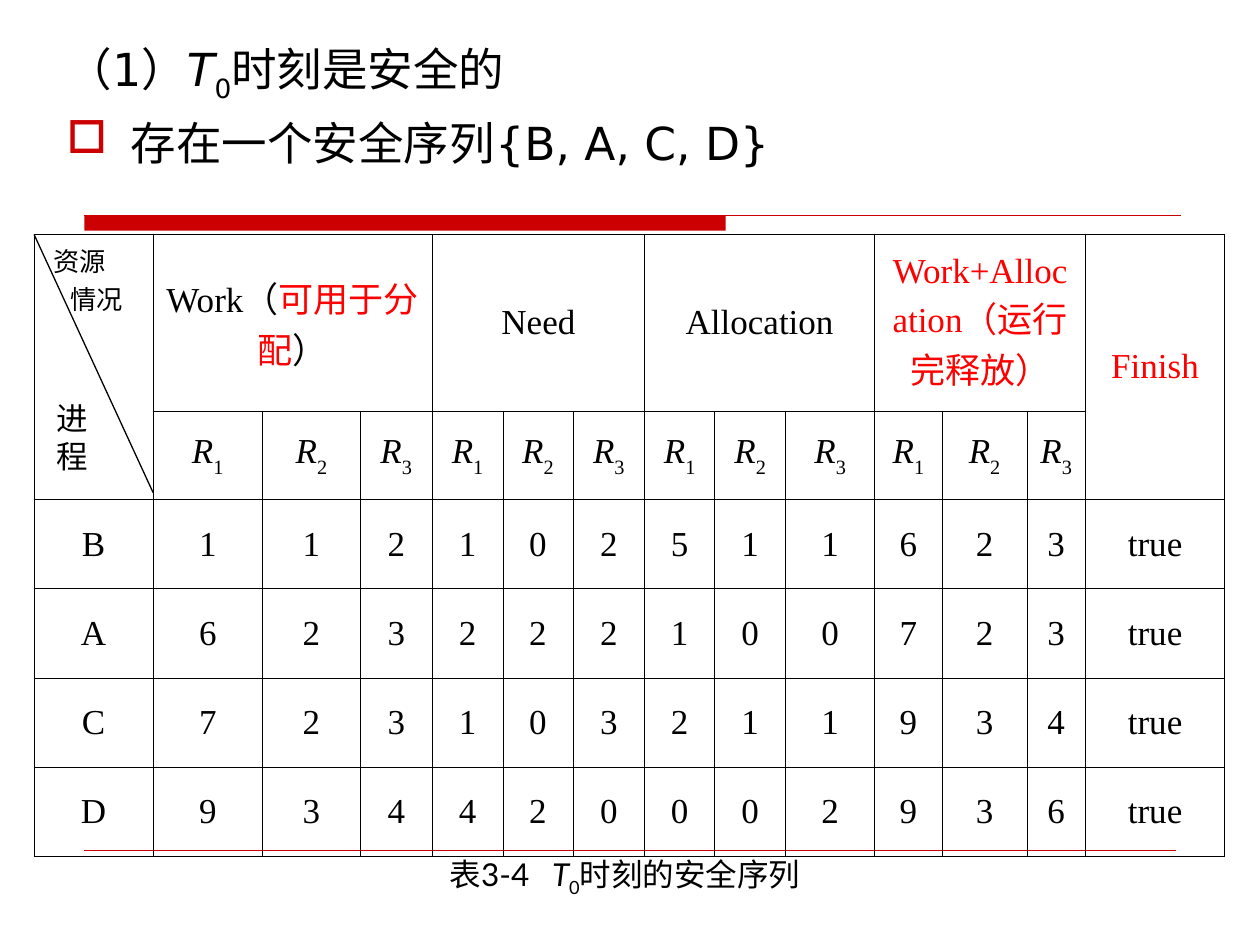
from dataclasses import dataclass
from typing import Optional

from lxml.etree import SubElement
from pptx import Presentation
from pptx.dml.color import RGBColor
from pptx.enum.shapes import MSO_CONNECTOR as Connector, MSO_SHAPE as Preset
from pptx.enum.text import MSO_ANCHOR as Anchor, PP_ALIGN as Align
from pptx.oxml.ns import qn
from pptx.util import Pt


@dataclass(frozen=True)
class Theme:
    ink: RGBColor = RGBColor(0, 0, 0)
    accent: RGBColor = RGBColor(0xCC, 0, 0)
    highlight: RGBColor = RGBColor(0xFF, 0, 0)
    heading_font: str = "DejaVu Sans"
    table_font: str = "Times New Roman"
    label_font: str = "Lato"
    heading_size: float = 26
    table_size: float = 20
    corner_size: float = 15
    label_size: float = 18
    border_width: float = 0.45


@dataclass(frozen=True)
class Piece:
    text: str
    color: Optional[RGBColor] = None
    italic: bool = False
    baseline: int = 0


@dataclass(frozen=True)
class Rule:
    start: tuple[float, float]
    end: tuple[float, float]
    color: RGBColor
    width: float


@dataclass(frozen=True)
class Header:
    column: int
    pieces: list[Piece]


THEME = Theme()
COLUMNS = [68, 62.5, 56, 41, 40.5, 40, 41, 40, 40.5, 51, 38.5, 48.5, 33.5, 79.5]
ROWS = [101, 50.5, 51, 51, 51, 51]
TABLE_LEFT, TABLE_TOP = 19.5, 134
RESOURCES = 3
FINISH_COLUMN = len(COLUMNS) - 1

TITLE = [Piece("（1）"), Piece("T", italic=True), Piece("0", baseline=-25000),
         Piece("时刻是安全的")]
SEQUENCE = [Piece("存在一个安全序列{B, A, C, D}")]
CAPTION = [Piece("表3-4\t"), Piece("T", italic=True), Piece("0", baseline=-25000),
           Piece("时刻的安全序列")]
HEADERS = [
    Header(1, [Piece("Work（"), Piece("可用于分配", THEME.highlight), Piece("）")]),
    Header(4, [Piece("Need")]),
    Header(7, [Piece("Allocation")]),
    Header(10, [Piece("Work+Allocation（运行完释放）", THEME.highlight)]),
]
PROCESSES = [
    ("B", "112102511623"),
    ("A", "623222100723"),
    ("C", "723103211934"),
    ("D", "934420002936"),
]
RULES = [
    Rule((48.24, 123.12), (674.64, 123.12), THEME.accent, 0.75),
    Rule((48.24, 486), (671.76, 486), THEME.accent, 0.25),
]
DIAGONAL = Rule((TABLE_LEFT, TABLE_TOP), (TABLE_LEFT + COLUMNS[0], 281.5), THEME.ink, 0.75)


def write(paragraph, pieces: list[Piece], font: str, size: float) -> None:
    for piece in pieces:
        run = paragraph.add_run()
        run.text = piece.text
        if piece.color is not None:
            run.font.color.rgb = piece.color
        if piece.italic:
            run.font.italic = True
        if piece.baseline:
            run.font._element.set("baseline", str(piece.baseline))
        run.font.name = font
        run.font.size = Pt(size)
    paragraph.font.color.rgb = THEME.ink


def indent(paragraph, left: float, first: float = 0) -> None:
    properties = paragraph._p.get_or_add_pPr()
    properties.set("marL", str(Pt(left)))
    properties.set("indent", str(Pt(first)))


def add_bullet(paragraph, mark: str, color: RGBColor) -> None:
    properties = paragraph._p.get_or_add_pPr()
    bullet_color = SubElement(properties, qn("a:buClr"))
    SubElement(bullet_color, qn("a:srgbClr"), val=str(color))
    SubElement(properties, qn("a:buChar"), char=mark)


def add_tab(paragraph, position: float) -> None:
    tabs = SubElement(paragraph._p.get_or_add_pPr(), qn("a:tabLst"))
    SubElement(tabs, qn("a:tab"), pos=str(Pt(position)), algn="l")


def add_text_frame(slide, left: float, top: float, width: float, height: float):
    box = slide.shapes.add_textbox(Pt(left), Pt(top), Pt(width), Pt(height))
    box.text_frame.word_wrap = True
    return box.text_frame


def add_rule(slide, rule: Rule) -> None:
    line = slide.shapes.add_connector(
        Connector.STRAIGHT, *(Pt(value) for value in rule.start + rule.end))
    line.line.color.rgb = rule.color
    line.line.width = Pt(rule.width)
    SubElement(line._element.spPr, qn("a:effectLst"))


def add_bar(slide) -> None:
    bar = slide.shapes.add_shape(
        Preset.RECTANGLE, Pt(48.24), Pt(123.12), Pt(366.5), Pt(8.64))
    bar.shadow.inherit = False
    bar.fill.solid()
    bar.fill.fore_color.rgb = THEME.accent
    bar.line.fill.background()


def add_heading(slide) -> None:
    frame = add_text_frame(slide, 31, 20.16, 646.5, 130.32)
    title = frame.paragraphs[0]
    indent(title, 36.72, -36.72)
    write(title, TITLE, THEME.heading_font, THEME.heading_size)
    sequence = frame.add_paragraph()
    sequence.space_before = Pt(6.5)
    indent(sequence, 36.72, -36.72)
    add_bullet(sequence, "□", THEME.accent)
    write(sequence, SEQUENCE, THEME.heading_font, THEME.heading_size)


def style_cell(cell) -> None:
    cell.fill.background()
    properties = cell._tc.get_or_add_tcPr()
    for position, side in enumerate(("a:lnL", "a:lnR", "a:lnT", "a:lnB")):
        border = properties.makeelement(qn(side), {"w": str(Pt(THEME.border_width))})
        fill = SubElement(border, qn("a:solidFill"))
        SubElement(fill, qn("a:srgbClr"), val=str(THEME.ink))
        properties.insert(position, border)


def fill_cell(cell, pieces: list[Piece]) -> None:
    cell.vertical_anchor = Anchor.MIDDLE
    paragraph = cell.text_frame.paragraphs[0]
    paragraph.alignment = Align.CENTER
    write(paragraph, pieces, THEME.table_font, THEME.table_size)


def add_safety_table(slide) -> None:
    table = slide.shapes.add_table(
        len(ROWS), len(COLUMNS), Pt(TABLE_LEFT), Pt(TABLE_TOP),
        Pt(sum(COLUMNS)), Pt(sum(ROWS))).table
    table.first_row = table.horz_banding = False
    for column, width in zip(table.columns, COLUMNS):
        column.width = Pt(width)
    for row, height in zip(table.rows, ROWS):
        row.height = Pt(height)
    for cell in table.iter_cells():
        style_cell(cell)

    corner = table.cell(0, 0)
    corner.merge(table.cell(1, 0))
    resource = corner.text_frame.paragraphs[0]
    status = corner.text_frame.add_paragraph()
    for paragraph, text, left in ((resource, "资源", 3.75), (status, "情况", 13.5)):
        indent(paragraph, left)
        write(paragraph, [Piece(text)], THEME.table_font, THEME.corner_size)

    for header in HEADERS:
        cell = table.cell(0, header.column)
        cell.merge(table.cell(0, header.column + RESOURCES - 1))
        fill_cell(cell, header.pieces)
        for offset in range(RESOURCES):
            fill_cell(table.cell(1, header.column + offset),
                      [Piece("R", italic=True), Piece(str(offset + 1), baseline=-30000)])
    finish = table.cell(0, FINISH_COLUMN)
    finish.merge(table.cell(1, FINISH_COLUMN))
    fill_cell(finish, [Piece("Finish", THEME.highlight)])

    for row, (process, amounts) in enumerate(PROCESSES, start=2):
        for column, text in enumerate([process, *amounts, "true"]):
            fill_cell(table.cell(row, column), [Piece(text)])


def main() -> None:
    presentation = Presentation()
    presentation.slide_width, presentation.slide_height = Pt(720), Pt(540)
    slide = presentation.slides.add_slide(presentation.slide_layouts[6])
    add_bar(slide)
    for rule in RULES:
        add_rule(slide, rule)
    add_heading(slide)
    add_safety_table(slide)
    add_rule(slide, DIAGONAL)
    process = add_text_frame(slide, 25.2, 224.64, 45.36, 50.4).paragraphs[0]
    write(process, [Piece("进程")], THEME.label_font, THEME.label_size)
    caption = add_text_frame(slide, 249.84, 485.28, 217.44, 31.68).paragraphs[0]
    add_tab(caption, 58.5)
    write(caption, CAPTION, THEME.label_font, THEME.label_size)
    presentation.save("out.pptx")


if __name__ == "__main__":
    main()
